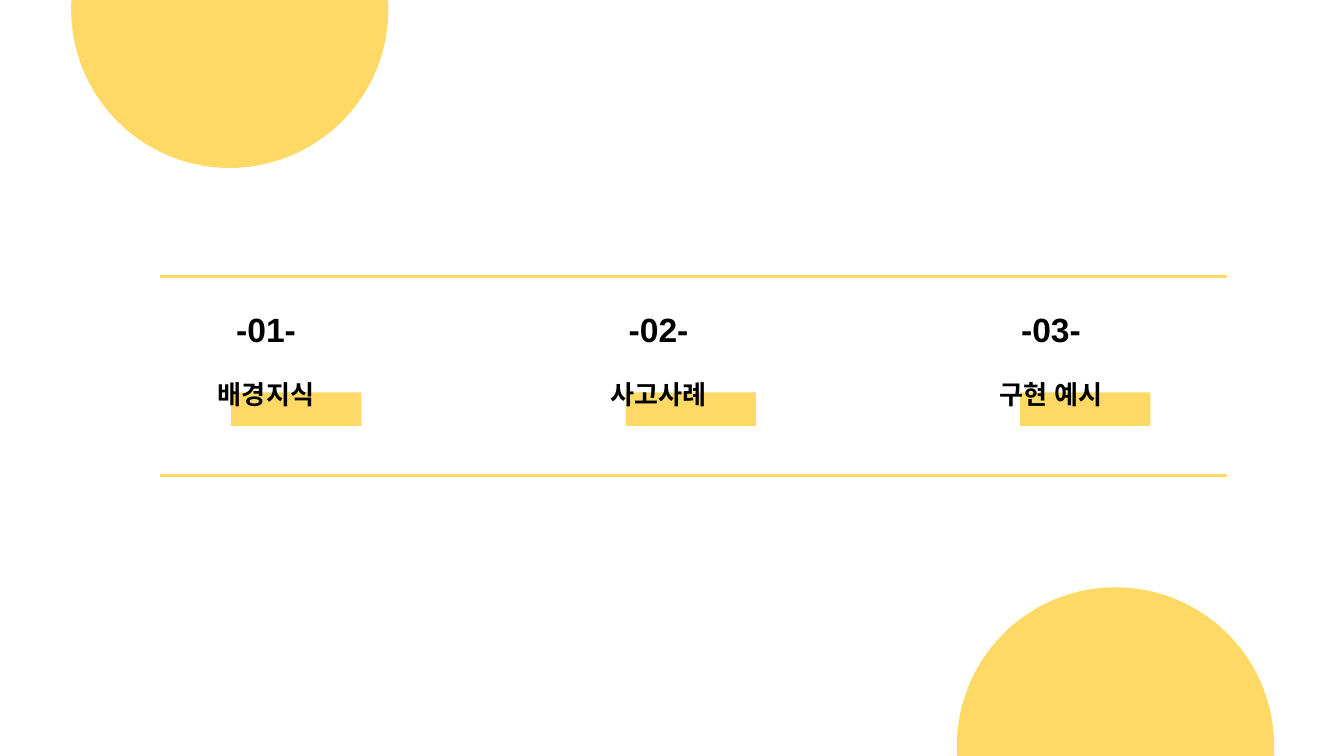
from lxml import etree
from pptx import Presentation
from pptx import util as u
from pptx.dml.color import RGBColor
from pptx.enum import shapes, text
from pptx.oxml.ns import qn

COLOURS = {"accent": "FFD966", "ink": "000000"}
FONT = "Arial"
TOPICS = ["배경지식", "사고사례", "구현 예시"]
TOPIC_PITCH = 2.92
MARKER_PITCH = 5.87 / 2


def colour(name):
    return RGBColor.from_string(COLOURS[name])


def add_solid(page, kind, left, top, width, height):
    solid = page.shapes.add_shape(
        kind, u.Inches(left), u.Inches(top), u.Inches(width), u.Inches(height))
    solid.shadow.inherit = False
    solid.fill.solid()
    solid.fill.fore_color.rgb = colour("accent")
    solid.line.fill.background()


def add_label(page, wording, size, left, top, width, height):
    """Add bold centred text that sits on the bottom of its box."""
    box = page.shapes.add_textbox(
        u.Inches(left), u.Inches(top), u.Inches(width), u.Inches(height))
    frame = box.text_frame
    frame.word_wrap = True
    frame.vertical_anchor = text.MSO_ANCHOR.BOTTOM
    frame.margin_left = frame.margin_right = u.Inches(0.1)
    frame.margin_top = frame.margin_bottom = u.Inches(0.1)
    frame.text = wording
    para = frame.paragraphs[0]
    para.alignment = text.PP_ALIGN.CENTER
    span = para.runs[0]
    span.font.name, span.font.size, span.font.bold = FONT, u.Pt(size), True
    span.font.color.rgb = colour("ink")
    for script in ("a:ea", "a:cs"):
        etree.SubElement(span._r.get_or_add_rPr(), qn(script), typeface=FONT)


def add_rule(page, left, top, width):
    rule = page.shapes.add_connector(
        shapes.MSO_CONNECTOR.STRAIGHT, u.Inches(left), u.Inches(top),
        u.Inches(left + width), u.Inches(top))
    rule.line.color.rgb = colour("accent")
    rule.line.width = u.Pt(1.5)
    etree.SubElement(rule._element.spPr, qn("a:effectLst"))


def add_circles(page):
    for left, top in [(0.53, -1.11), (7.12, 4.37)]:
        add_solid(page, shapes.MSO_SHAPE.OVAL, left, top, 2.36, 2.36)


def add_contents(page, left, top, width, height):
    """Add the numbered topics between an upper and a lower rule."""
    for index, topic in enumerate(TOPICS):
        marker_left = left + 0.53 + index * MARKER_PITCH
        add_solid(page, shapes.MSO_SHAPE.RECTANGLE,
                  marker_left, top + 0.86, 0.97, 0.25)
        topic_left = left - 0.15 + index * TOPIC_PITCH
        add_label(page, topic, 14, topic_left, top + 0.48, 1.88, 0.61)
        add_label(page, f"-{index + 1:02}-", 18,
                  topic_left + 0.36, top + 0.26, 1.16, 0.38)
    for rule_top in (top, top + height):
        add_rule(page, left, rule_top, width)


def main():
    deck = Presentation()
    deck.slide_width = u.Inches(10)
    deck.slide_height = deck.slide_width * 9 // 16
    page = deck.slides.add_slide(deck.slide_layouts[6])
    add_circles(page)
    add_contents(page, 1.19, 2.06, 7.94, 1.48)
    deck.save("out.pptx")


if __name__ == "__main__":
    main()
